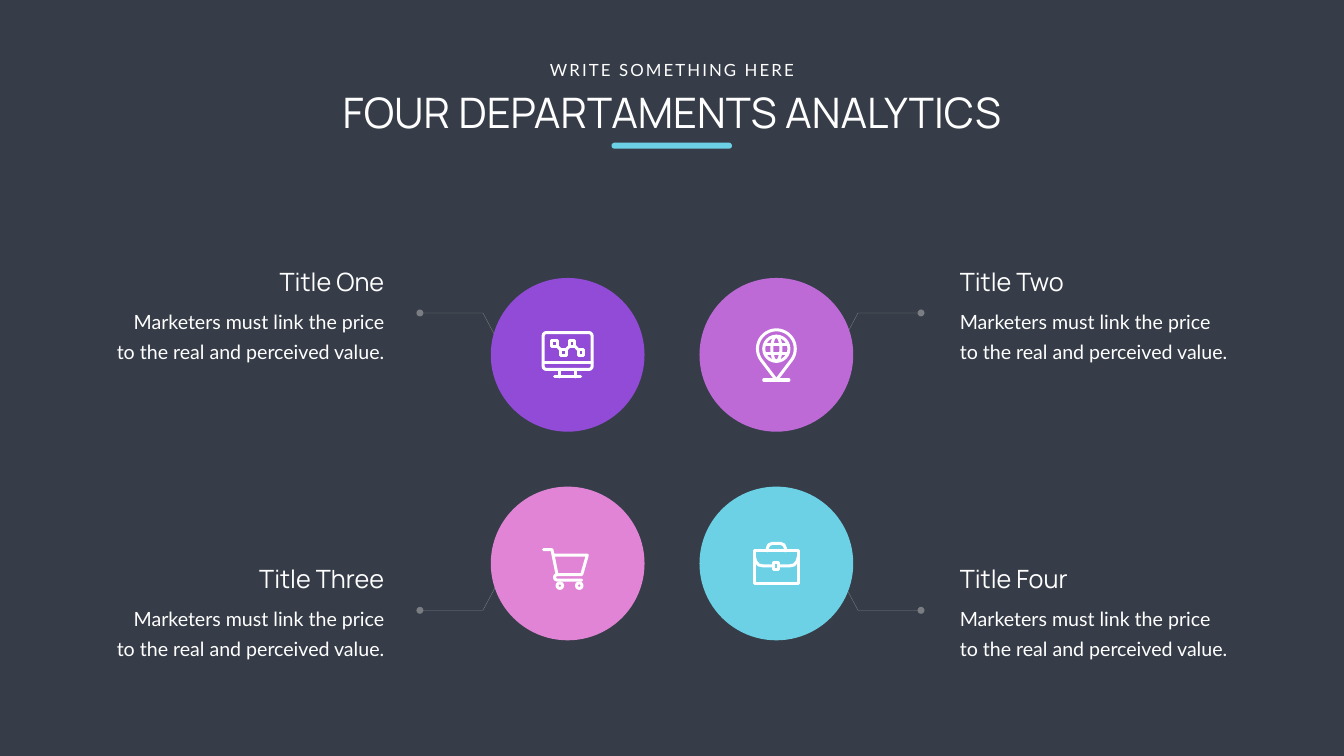
import math
from dataclasses import dataclass

import pptx
import pptx.dml.color
import pptx.enum.shapes
import pptx.enum.text
import pptx.oxml
import pptx.oxml.ns
import pptx.util

RGBColor = pptx.dml.color.RGBColor
SHAPE = pptx.enum.shapes.MSO_SHAPE
ALIGN = pptx.enum.text.PP_ALIGN
ANCHOR = pptx.enum.text.MSO_ANCHOR
Point = tuple[float, float]

BACKGROUND = RGBColor(0x36, 0x3D, 0x48)
WHITE = RGBColor(0xFF, 0xFF, 0xFF)
GREY = RGBColor(0xBF, 0xBF, 0xBF)
VIOLET = RGBColor(0x91, 0x4B, 0xD7)
ORCHID = RGBColor(0xBD, 0x6A, 0xD7)
PINK = RGBColor(0xE1, 0x84, 0xD6)
CYAN = RGBColor(0x6C, 0xD1, 0xE5)

# The grid has square cells of one inch.
CELL = pptx.util.Inches(1)
COLUMNS, ROWS = 26.66, 15
CENTER = COLUMNS / 2
CIRCLE_MIDDLE, CIRCLE_OFFSET, DIAMETER = 9.11, 2.07, 3.05
LEADER_CENTER, LEADER_MIDDLE = 13.3, 9.16
LEADER_START, LEADER_ELBOW = 2.35, 2.95
TEXT_OFFSET, TEXT_WIDTH = 5.61, 5.58
ICON_WEIGHT, LEADER_WEIGHT = 4.3, 0.5
BODY = "Marketers must link the price to the real and perceived value."


@dataclass(frozen=True)
class Stroke:
    """One or more contours in cells, measured from the middle of the circle."""
    contours: list[list[Point]]
    closed: bool = False


@dataclass(frozen=True)
class Outline:
    """A preset shape without fill, measured from the middle of the circle."""
    preset: int
    x: float
    y: float
    width: float
    height: float
    rounding: float | None = None


@dataclass(frozen=True)
class Department:
    title: str
    title_width: float
    side: int
    level: int
    color: RGBColor
    icon: list[Stroke | Outline]


def monitor_icon() -> list[Stroke | Outline]:
    nodes = [(-0.26 + 0.175 * i, -0.225 + 0.18 * (i % 2)) for i in range(4)]
    corners = [(-0.055, -0.055), (0.055, -0.055), (0.055, 0.055), (-0.055, 0.055)]
    squares = [[(x + dx, y + dy) for dx, dy in corners] for x, y in nodes]
    links = [[(x1 + 0.06, y1 + (y2 - y1) / 3), (x2 - 0.06, y2 - (y2 - y1) / 3)]
             for (x1, y1), (x2, y2) in zip(nodes, nodes[1:])]
    return [Outline(SHAPE.ROUNDED_RECTANGLE, 0, -0.075, 0.97, 0.73, 0.08),
            Stroke([[(-0.48, 0.15), (0.48, 0.15)]]),
            *[Stroke([[(x, 0.29), (x, 0.44)]]) for x in (-0.16, 0.16)],
            Stroke([[(-0.26, 0.44), (0.26, 0.44)]]),
            Stroke(squares + links, closed=True)]


def pin_icon() -> list[Stroke | Outline]:
    arc = [(0.375 * math.cos(math.radians(a)), -0.12 + 0.375 * math.sin(math.radians(a)))
           for a in range(144, 397, 6)]
    return [Stroke([[(0, 0.5), *arc]], closed=True),
            *[Outline(SHAPE.OVAL, 0, -0.12, width, 0.5) for width in (0.5, 0.18)],
            *[Stroke([[(-0.23, y), (0.23, y)]]) for y in (-0.21, -0.03)],
            Stroke([[(-0.25, 0.5), (0.25, 0.5)]])]


def cart_icon() -> list[Stroke | Outline]:
    basket = [(-0.48, -0.275), (-0.31, -0.275), (-0.21, 0.22), (0.28, 0.22),
              (0.39, -0.165), (-0.29, -0.165)]
    frame = [(-0.21, 0.22), (-0.25, 0.24), (-0.26, 0.27), (-0.25, 0.31),
             (-0.21, 0.33), (0.28, 0.33)]
    return [Stroke([basket, frame]),
            *[Outline(SHAPE.OVAL, x, 0.44, 0.11, 0.11) for x in (-0.155, 0.23)]]


def briefcase_icon() -> list[Stroke | Outline]:
    handle = [(-0.18, -0.25), (-0.18, -0.3), (-0.15, -0.37), (-0.08, -0.4)]
    flap = [(-0.435, -0.13), (-0.41, -0.04), (-0.35, 0.03), (-0.25, 0.05), (-0.05, 0.05)]
    return [Outline(SHAPE.RECTANGLE, 0, 0.07, 0.87, 0.64),
            Stroke([handle + [(-x, y) for x, y in reversed(handle)]]),
            Stroke([[(side * x, y) for x, y in flap] for side in (1, -1)]),
            Outline(SHAPE.RECTANGLE, 0, 0.05, 0.1, 0.14)]


def grid(*lengths: float) -> list[int]:
    return [round(length * CELL) for length in lengths]


def element(tag: str, attributes: str = ""):
    """Make an empty DrawingML element."""
    return pptx.oxml.parse_xml(f"<a:{tag} {pptx.oxml.ns.nsdecls('a')} {attributes}/>")


def add_filled(slide, preset: int, box: tuple[float, ...], color: RGBColor):
    shape = slide.shapes.add_shape(preset, *grid(*box))
    shape.shadow.inherit = False
    shape.fill.solid()
    shape.fill.fore_color.rgb = color
    shape.line.fill.background()
    return shape


def set_line(shape, color: RGBColor, weight: float):
    """Colour the line, round its ends and corners, and return its XML element."""
    shape.line.color.rgb = color
    shape.line.width = pptx.util.Pt(weight)
    line = shape.line._get_or_add_ln()
    line.set("cap", "rnd")
    line.append(element("round"))
    return line


def add_path(slide, contours: list[list[Point]], closed: bool = False):
    first = contours[0]
    if len(contours) == 1 and len(first) == 2:
        connector = slide.shapes.add_connector(
            pptx.enum.shapes.MSO_CONNECTOR.STRAIGHT, *grid(*first[0], *first[1]))
        connector._element.spPr.append(element("effectLst"))
        return connector
    builder = slide.shapes.build_freeform(*grid(*first[0]))
    for index, contour in enumerate(contours):
        if index:
            builder.move_to(*grid(*contour[0]))
        builder.add_line_segments([grid(*point) for point in contour[1:]], close=closed)
    shape = builder.convert_to_shape()
    shape.shadow.inherit = False
    shape.fill.background()
    return shape


def add_icon(slide, parts: list[Stroke | Outline], x: float, y: float) -> None:
    for part in parts:
        if isinstance(part, Stroke):
            contours = [[(x + dx, y + dy) for dx, dy in contour] for contour in part.contours]
            shape = add_path(slide, contours, part.closed)
        else:
            shape = slide.shapes.add_shape(part.preset, *grid(
                x + part.x - part.width / 2, y + part.y - part.height / 2,
                part.width, part.height))
            shape.shadow.inherit = False
            shape.fill.background()
            if part.rounding is not None:
                shape.adjustments[0] = part.rounding
        set_line(shape, WHITE, ICON_WEIGHT)


def add_leader(slide, side: int, level: int) -> None:
    ends = [(3.4, LEADER_START), (3.72, LEADER_ELBOW), (4.97, LEADER_ELBOW)]
    shape = add_path(slide, [[(LEADER_CENTER + side * x, LEADER_MIDDLE + level * y)
                              for x, y in ends]])
    line = set_line(shape, GREY, LEADER_WEIGHT)
    line.find(".//" + pptx.oxml.ns.qn("a:srgbClr")).append(element("alpha", 'val="50000"'))
    line.append(element("tailEnd", 'type="oval" w="lg" len="lg"'))


def write(shape, box: tuple[float, ...], text: str, font: str, size: float, align: int,
          wrap: bool = True, anchor: int = ANCHOR.MIDDLE):
    """Place a text shape, fill it with one paragraph and return that paragraph."""
    shape.left, shape.top, shape.width, shape.height = grid(*box)
    frame = shape.text_frame
    frame.text = text
    frame.word_wrap = wrap
    frame.auto_size = pptx.enum.text.MSO_AUTO_SIZE.NONE
    frame.vertical_anchor = anchor
    paragraph = frame.paragraphs[0]
    paragraph.alignment = align
    run_font = paragraph.runs[0].font
    run_font.name, run_font.size = font, pptx.util.Pt(size)
    run_font.color.rgb = WHITE
    return paragraph


def add_department(slide, department: Department) -> None:
    side, level = department.side, department.level
    x, y = CENTER + side * CIRCLE_OFFSET, CIRCLE_MIDDLE + level * CIRCLE_OFFSET
    add_leader(slide, side, level)
    add_filled(slide, SHAPE.OVAL, (x - DIAMETER / 2, y - DIAMETER / 2, DIAMETER, DIAMETER),
               department.color)
    add_icon(slide, department.icon, x, y)

    elbow = LEADER_MIDDLE + level * LEADER_ELBOW
    edge = CENTER + side * TEXT_OFFSET
    align = ALIGN.LEFT if side > 0 else ALIGN.RIGHT

    def text_box(width: float, top: float, height: float) -> tuple[float, ...]:
        return edge if side > 0 else edge - width, top, width, height

    write(slide.shapes.add_textbox(0, 0, 0, 0),
          text_box(department.title_width, elbow - 0.98, 0.71),
          department.title, "Manrope", 36, align, wrap=False)
    body = write(slide.shapes.add_textbox(0, 0, 0, 0),
                 text_box(TEXT_WIDTH, elbow - 0.25, 1.24),
                 BODY, "Lato", 28, align, anchor=ANCHOR.TOP)
    body.line_spacing = pptx.util.Pt(43)


def main() -> None:
    presentation = pptx.Presentation()
    presentation.slide_width, presentation.slide_height = grid(COLUMNS, ROWS)
    slide = presentation.slides.add_slide(presentation.slide_layouts.get_by_name("Title Only"))
    slide.background.fill.solid()
    slide.background.fill.fore_color.rgb = BACKGROUND

    write(slide.shapes.title, (5.3, 1.67, 16.06, 1.11),
          "FOUR DEPARTAMENTS ANALYTICS", "Manrope", 60, ALIGN.CENTER)
    kicker = write(slide.shapes.add_textbox(0, 0, 0, 0), (10.76, 1.13, 5.14, 0.5),
                   "WRITE SOMETHING HERE", "Lato", 24, ALIGN.CENTER, wrap=False)
    kicker.runs[0].font._element.set("spc", "300")
    underline = add_filled(slide, SHAPE.ROUNDED_RECTANGLE, (12.13, 2.83, 2.39, 0.12), CYAN)
    underline.adjustments[0] = 0.5

    for department in (
        Department("Title One", 2.42, -1, -1, VIOLET, monitor_icon()),
        Department("Title Two", 2.41, 1, -1, ORCHID, pin_icon()),
        Department("Title Three", 2.81, -1, 1, PINK, cart_icon()),
        Department("Title Four", 2.49, 1, 1, CYAN, briefcase_icon()),
    ):
        add_department(slide, department)
    presentation.save("out.pptx")


if __name__ == "__main__":
    main()
